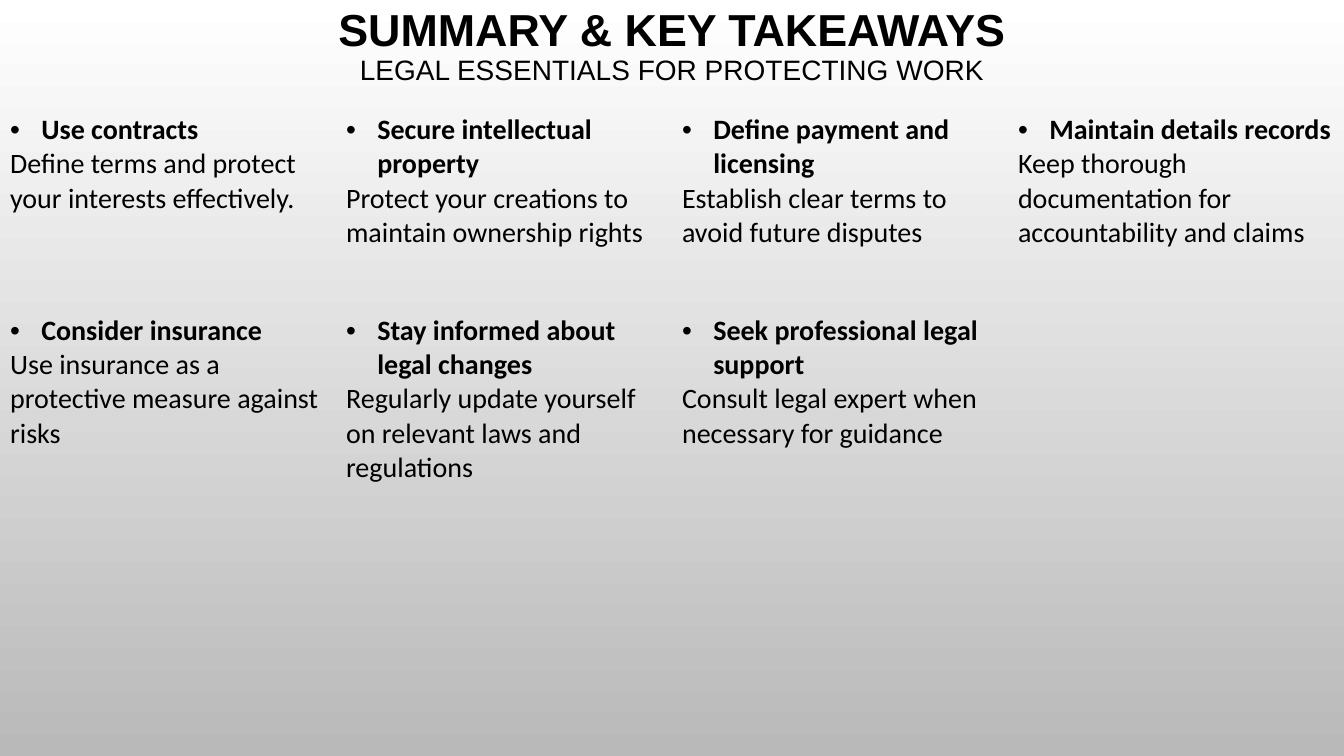
"""Build the summary slide on legal essentials for protecting work."""
from lxml import etree
from pptx import Presentation
from pptx.dml.color import RGBColor
from pptx.enum import text
from pptx.oxml import ns
from pptx.util import Inches, Pt

COLORS = {"ink": "000000", "top": "FFFFFF", "bottom": "B9B9B9"}
WIDTH, HEIGHT = 13.33, 7.5
COLUMNS = 4
ROW_HEIGHTS = [1.99, 2.5]
INDENT = 0.31
NO_STYLE = "{2D5ABB26-0587-4C30-8999-92F81FD0307C}"
TAKEAWAYS = [
    ("Use contracts", "Define terms and protect your interests effectively."),
    ("Secure intellectual property", "Protect your creations to maintain ownership rights"),
    ("Define payment and licensing", "Establish clear terms to avoid future disputes"),
    ("Maintain details records", "Keep thorough documentation for accountability and claims"),
    ("Consider insurance", "Use insurance as a protective measure against risks"),
    ("Stay informed about legal changes", "Regularly update yourself on relevant laws and regulations"),
    ("Seek professional legal support", "Consult legal expert when necessary for guidance"),
]


def paint_background(slide):
    fill = slide.background.fill
    fill.gradient()
    fill.gradient_angle = 270
    for stop, shade in zip(fill.gradient_stops, ("top", "bottom")):
        stop.color.rgb = RGBColor.from_string(COLORS[shade])


def add_run(paragraph, wording, font, size, bold):
    run = paragraph.add_run()
    run.text = wording
    run.font.name = font
    run.font.size = Pt(size)
    run.font.bold = bold
    run.font.color.rgb = RGBColor.from_string(COLORS["ink"])


def add_heading(slide, title, subtitle):
    heading = slide.shapes.add_textbox(0, 0, Inches(WIDTH), Inches(0.94))
    frame = heading.text_frame
    frame.word_wrap = True
    frame.vertical_anchor = text.MSO_ANCHOR.MIDDLE
    line = frame.paragraphs[0]
    line.alignment = text.PP_ALIGN.CENTER
    line.line_spacing = 0.9
    add_run(line, title, "Arial", 32, True)
    line.add_line_break()
    add_run(line, subtitle, "Arial", 20, False)


def add_bullet(paragraph):
    props = paragraph._p.get_or_add_pPr()
    props.set("marL", str(Inches(INDENT)))
    props.set("indent", str(-Inches(INDENT)))
    etree.SubElement(props, ns.qn("a:buFont")).set("typeface", "Arial")
    etree.SubElement(props, ns.qn("a:buChar")).set("char", "•")


def fill_cell(cell, point, advice):
    lead = cell.text_frame.paragraphs[0]
    add_bullet(lead)
    add_run(lead, point, "Calibri", 20, True)
    add_run(cell.text_frame.add_paragraph(), advice, "Calibri", 20, False)


def add_takeaways(slide):
    frame = slide.shapes.add_table(
        len(ROW_HEIGHTS), COLUMNS, 0, Inches(1.07), Inches(WIDTH), Inches(sum(ROW_HEIGHTS)))
    grid = frame.table
    grid.first_row = grid.horz_banding = False
    grid._tbl.tblPr.find(ns.qn("a:tableStyleId")).text = NO_STYLE
    for row, height in zip(grid.rows, ROW_HEIGHTS):
        row.height = Inches(height)
    for cell in grid.iter_cells():
        cell.fill.background()
    for cell, takeaway in zip(grid.iter_cells(), TAKEAWAYS):
        fill_cell(cell, *takeaway)


def main():
    deck = Presentation()
    deck.slide_width, deck.slide_height = Inches(WIDTH), Inches(HEIGHT)
    slide = deck.slides.add_slide(deck.slide_layouts[6])
    paint_background(slide)
    add_heading(slide, "SUMMARY & KEY TAKEAWAYS", "LEGAL ESSENTIALS FOR PROTECTING WORK")
    add_takeaways(slide)
    deck.save("out.pptx")


if __name__ == "__main__":
    main()
